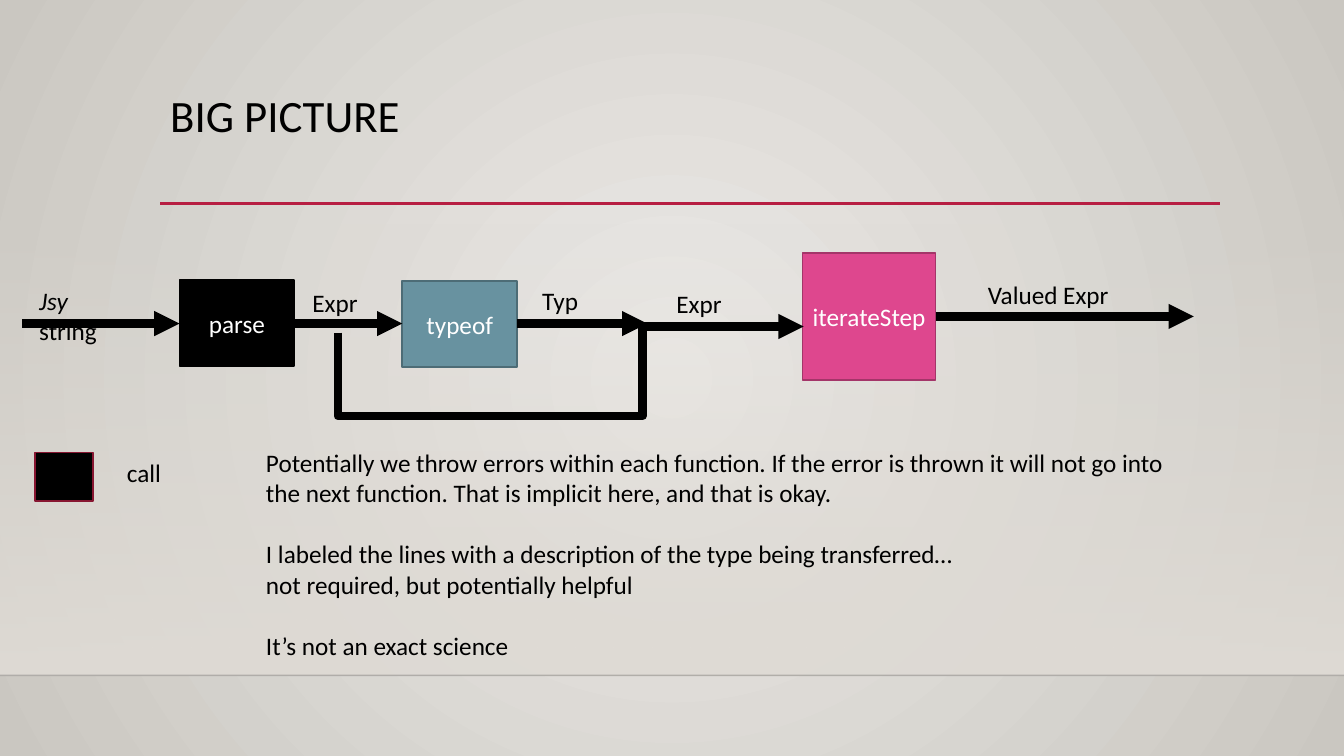
import dataclasses

import pptx
import pptx.dml.color
import pptx.enum.shapes
import pptx.enum.text
import pptx.oxml
import pptx.oxml.ns
import pptx.util

Inches = pptx.util.Inches
qn = pptx.oxml.ns.qn
ALIGN = pptx.enum.text.PP_ALIGN
ANCHOR = pptx.enum.text.MSO_ANCHOR
CONNECTOR = pptx.enum.shapes.MSO_CONNECTOR


@dataclasses.dataclass(frozen=True)
class Theme:
    font: str = "Calibri"
    title_size: float = 32
    text_size: float = 18
    paragraph_gap: float = 22
    outline: float = 1.25
    rule: float = 2.5
    floor: float = 1
    flow: float = 6
    black: str = "000000"
    white: str = "FFFFFF"
    glow: str = "ECEAE7"
    edge: str = "CAC7C1"
    wall: str = "DFDBD5"
    floor_line: str = "000001"
    crimson: str = "B71E42"
    maroon: str = "871631"
    teal: str = "6892A0"
    teal_edge: str = "4D6C76"
    pink: str = "DE478E"
    pink_edge: str = "A43569"


THEME = Theme()


def rgb(color):
    return pptx.dml.color.RGBColor.from_string(color)


def apply(target, values):
    for name, value in values.items():
        setattr(target, name, value)


def add_child(parent, tag, **attributes):
    child = parent.makeelement(qn(tag), attributes)
    parent.append(child)
    return child


def set_alpha(element, percent):
    color = next(element.iter(qn("a:srgbClr")))
    add_child(color, "a:alpha", val=str(percent * 1000))


def fill_gradient(fill, *colors):
    fill.gradient()
    for stop, color in zip(fill.gradient_stops, colors):
        stop.color.rgb = rgb(color)


def paint_background(slide):
    fill_gradient(slide.background.fill, THEME.glow, THEME.edge)
    gradient = next(slide.element.iter(qn("a:gradFill")))
    gradient.remove(gradient.find(qn("a:lin")))
    circle = add_child(gradient, "a:path", path="circle")
    add_child(circle, "a:fillToRect", l="50000", t="50000", r="50000", b="50000")


def add_wall(slide):
    wall = slide.shapes.add_shape(
        pptx.enum.shapes.MSO_SHAPE.RECTANGLE,
        Inches(0), Inches(2.21), Inches(13.33), Inches(4.49))
    wall.shadow.inherit = False
    wall.line.fill.background()
    fill_gradient(wall.fill, THEME.wall, THEME.wall)
    wall.fill.gradient_angle = 270
    set_alpha(wall.element, 0)


def write(paragraph, text, color=THEME.black, size=THEME.text_size, italic=False):
    run = paragraph.add_run()
    run.text = text
    apply(run.font, {"name": THEME.font, "size": pptx.util.Pt(size), "italic": italic})
    run.font.color.rgb = rgb(color)


def add_block(slide, box, fill, outline, text=""):
    block = slide.shapes.add_shape(
        pptx.enum.shapes.MSO_SHAPE.RECTANGLE, *map(Inches, box))
    block.shadow.inherit = False
    block.fill.solid()
    block.fill.fore_color.rgb = rgb(fill)
    block.line.color.rgb = rgb(outline)
    block.line.width = pptx.util.Pt(THEME.outline)
    if text:
        apply(block.text_frame, {"word_wrap": False, "vertical_anchor": ANCHOR.MIDDLE})
        paragraph = block.text_frame.paragraphs[0]
        paragraph.alignment = ALIGN.CENTER
        write(paragraph, text, THEME.white)


def add_text(slide, box, wrap=False):
    frame = slide.shapes.add_textbox(*map(Inches, box)).text_frame
    apply(frame, {"word_wrap": wrap, "vertical_anchor": ANCHOR.TOP})
    return frame


def add_label(slide, box, text):
    write(add_text(slide, box).paragraphs[0], text)


def add_title(slide, text):
    paragraph = add_text(slide, (1.59, 0.88, 10.5, 1.15), wrap=True).paragraphs[0]
    paragraph.line_spacing = 0.9
    write(paragraph, text, size=THEME.title_size)


def add_remarks(slide, box, groups):
    frame = add_text(slide, box)
    paragraph = frame.paragraphs[0]
    for group_index, lines in enumerate(groups):
        for line_index, line in enumerate(lines):
            if group_index or line_index:
                paragraph = frame.add_paragraph()
            if group_index and not line_index:
                paragraph.space_before = pptx.util.Pt(THEME.paragraph_gap)
            write(paragraph, line)


def add_line(slide, start, end, color, width, kind=CONNECTOR.STRAIGHT, arrow=False):
    line = slide.shapes.add_connector(kind, *map(Inches, start + end))
    line.line.color.rgb = rgb(color)
    line.line.width = pptx.util.Pt(width)
    if arrow:
        add_child(next(line.element.iter(qn("a:ln"))), "a:tailEnd", type="triangle")
    add_child(line.element.spPr, "a:effectLst")
    return line


def add_flow(slide, start, end):
    add_line(slide, start, end, THEME.black, THEME.flow, arrow=True)


def add_bypass(slide, start, end, bottom, turn):
    run, rise = end[0] - start[0], start[1] - end[1]
    center_x, center_y = (start[0] + end[0]) / 2, (start[1] + end[1]) / 2
    corner = (center_x - rise / 2, center_y - run / 2)
    opposite = (center_x + rise / 2, center_y + run / 2)
    bypass = add_line(slide, corner, opposite, THEME.black, THEME.flow,
                      CONNECTOR.ELBOW, arrow=True)
    frame = next(bypass.element.iter(qn("a:xfrm")))
    geometry = next(bypass.element.iter(qn("a:prstGeom")))
    for name, value in {"rot": "5400000", "flipH": "1", "flipV": "1"}.items():
        frame.set(name, value)
    geometry.set("prst", "bentConnector4")
    guides = geometry.find(qn("a:avLst"))
    ratios = {"adj1": (start[1] - bottom) / rise, "adj2": (turn - start[0]) / run}
    for name, ratio in ratios.items():
        add_child(guides, "a:gd", name=name, fmla=f"val {round(ratio * 100000)}")


def main():
    deck = pptx.Presentation()
    apply(deck, {"slide_width": Inches(13.33), "slide_height": Inches(7.5)})
    slide = deck.slides.add_slide(deck.slide_layouts[6])

    paint_background(slide)
    add_wall(slide)
    floor = add_line(slide, (0, 6.7), (13.33, 6.7), THEME.floor_line, THEME.floor)
    set_alpha(floor.element, 20)
    add_line(slide, (1.59, 2.02), (12.1, 2.02), THEME.crimson, THEME.rule)
    add_title(slide, "BIG PICTURE")

    add_block(slide, (0.35, 4.49, 0.57, 0.48), THEME.black, THEME.maroon)
    add_label(slide, (1.16, 4.49, 0.86, 0.4), "call")

    add_block(slide, (1.78, 2.78, 1.14, 0.85), THEME.black, THEME.black, "parse")
    add_block(slide, (3.99, 2.79, 1.14, 0.85), THEME.teal, THEME.teal_edge, "typeof")
    add_block(slide, (7.96, 2.51, 1.32, 1.26), THEME.pink, THEME.pink_edge, "iterateStep")

    add_remarks(slide, (2.54, 4.39, 9.3, 2.22), [
        ["Potentially we throw errors within each function. "
         "If the error is thrown it will not go into",
         "the next function. That is implicit here, and that is okay."],
        ["I labeled the lines with a description of the type being transferred…",
         "not required, but potentially helpful"],
        ["It’s not an exact science"],
    ])

    for left, right, y in [(0.22, 1.78, 3.21), (2.92, 3.99, 3.21),
                           (5.13, 6.42, 3.21), (9.28, 11.84, 3.14)]:
        add_flow(slide, (left, y), (right, y))
    add_bypass(slide, (3.35, 3.3), (7.97, 3.24), bottom=4.13, turn=6.37)

    source = add_text(slide, (0.29, 2.78, 1.09, 0.4), wrap=True).paragraphs[0]
    write(source, "Jsy", italic=True)
    write(source, " string")
    for left, top, width, text in [(3, 2.8, 0.68, "Expr"), (5.28, 2.78, 0.87, "Typ"),
                                   (9.7, 2.72, 1.43, "Valued Expr"),
                                   (6.61, 2.81, 0.68, "Expr")]:
        add_label(slide, (left, top, width, 0.4), text)

    deck.save("out.pptx")


if __name__ == "__main__":
    main()
